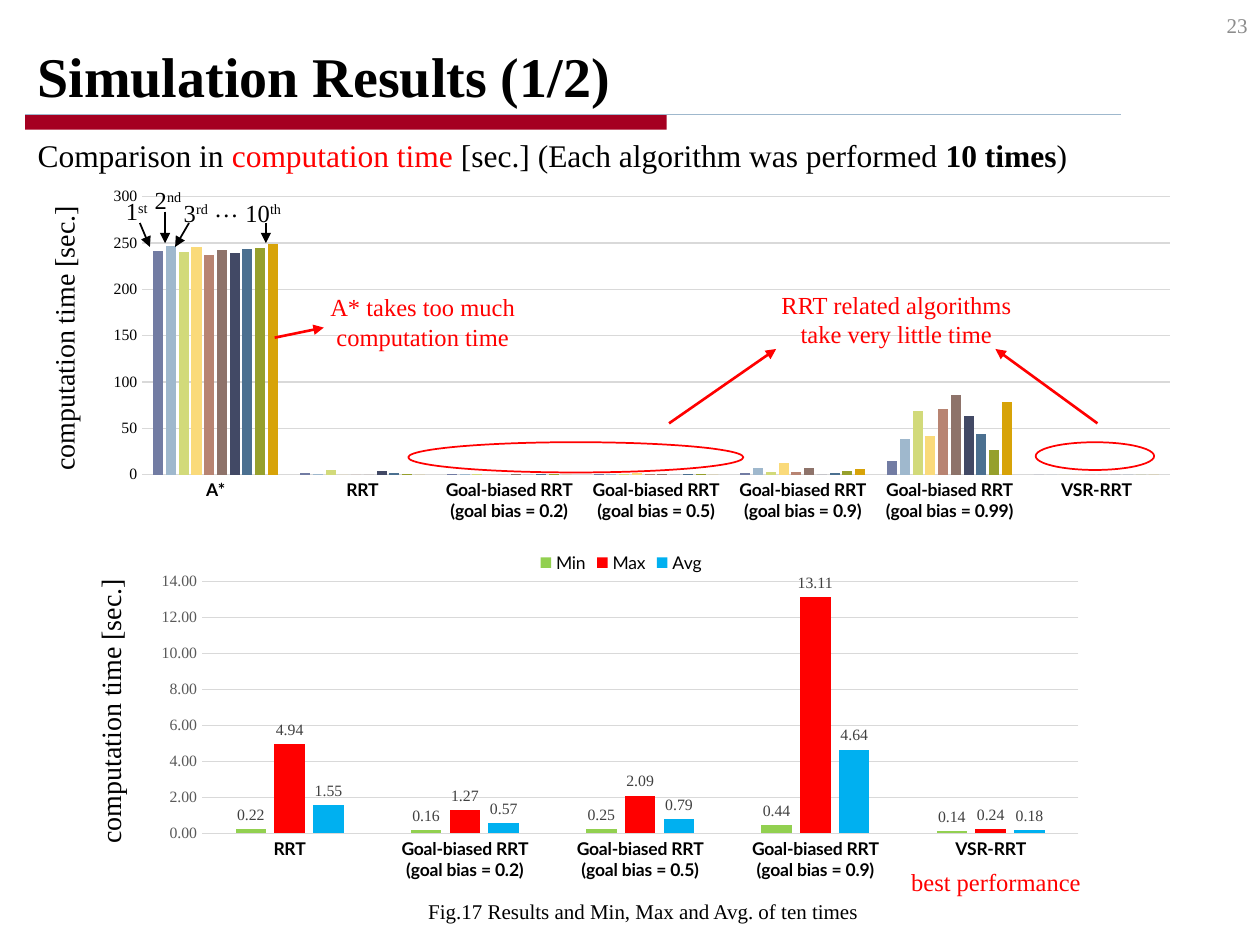
from lxml import etree
from pptx import Presentation
from pptx.chart.data import CategoryChartData
from pptx.dml.color import RGBColor
from pptx.enum import chart as charts, shapes, text
from pptx.oxml import parse_xml
from pptx.oxml.ns import nsdecls, qn
from pptx.util import Emu, Pt

SCALE = 9144
SERIF, SANS = "Times New Roman", "Lato"
COLORS = {
    "black": "000000", "red": "FF0000", "bar": "A50021", "rule": "9FB8CD",
    "grid": "D9D9D9", "number": "8C8C8C", "tick": "595959", "label": "404040",
    "min": "92D050", "max": "FF0000", "avg": "00B0F0",
}
ALIGN = {"left": text.PP_ALIGN.LEFT, "center": text.PP_ALIGN.CENTER, "right": text.PP_ALIGN.RIGHT}
ANCHOR = {"top": text.MSO_ANCHOR.TOP, "middle": text.MSO_ANCHOR.MIDDLE, "bottom": text.MSO_ANCHOR.BOTTOM}
RUNS = [
    ("727CA3", (241, 2, 1, 1, 2, 15, 0)),
    ("9FB8CD", (247, 1, 1, 1, 7, 38, 0)),
    ("D2DA7A", (240, 5, 1, 1, 3, 69, 0)),
    ("FADA7A", (246, 0, 0, 2, 13, 42, 0)),
    ("B88472", (237, 0, 0, 1, 3, 71, 0)),
    ("8E736A", (242, 0, 1, 1, 7, 86, 0)),
    ("424965", (239, 4, 0, 0, 0, 63, 0)),
    ("4B7090", (243, 2, 1, 1, 2, 44, 0)),
    ("96A02C", (244, 1, 1, 1, 4, 27, 0)),
    ("D7A308", (249, 0, 0, 0, 6, 78, 0)),
]
SUMMARY = [
    ("Min", COLORS["min"], (0.22, 0.16, 0.25, 0.44, 0.14)),
    ("Max", COLORS["max"], (4.94, 1.27, 2.09, 13.11, 0.24)),
    ("Avg", COLORS["avg"], (1.55, 0.57, 0.79, 4.64, 0.18)),
]


def px(value):
    return Emu(value * SCALE)


def inside(box, left, top, *size):
    return (box[0] + left, box[1] + top, *size)


def style(font, size, color="black", bold=False, face=SERIF):
    font.size, font.bold, font.name = Pt(size), bold, face
    font.color.rgb = RGBColor.from_string(COLORS[color])


def stroke(line, color, width):
    line.color.rgb = RGBColor.from_string(COLORS[color])
    line.width = Pt(width)


def write(page, box, spans, size=14, color="black", bold=False, align="left",
          anchor="top", side=10, rotation=0):
    shape = page.shapes.add_textbox(*map(px, box))
    shape.rotation = rotation
    frame = shape.text_frame
    frame.word_wrap = True
    frame.vertical_anchor = ANCHOR[anchor]
    frame.margin_left = px(side)
    frame.margin_right = px(0 if align == "left" else side)
    para = frame.paragraphs[0]
    para.alignment = ALIGN[align]
    for words, extra in [(spans, {})] if isinstance(spans, str) else spans:
        span = para.add_run()
        span.text = words
        style(span.font, size, extra.get("color", color), extra.get("bold", bold))
        if "raised" in extra:
            span.font._element.set("baseline", "30000")


def draw_line(page, start, end, color, width, arrow=True):
    line = page.shapes.add_connector(shapes.MSO_CONNECTOR.STRAIGHT, *map(px, start + end))
    stroke(line.line, color, width)
    if arrow:
        etree.SubElement(line.line._get_or_add_ln(), qn("a:tailEnd"), type="triangle")
    etree.SubElement(line._element.spPr, qn("a:effectLst"))


def add_shape(page, kind, box):
    shape = page.shapes.add_shape(kind, *map(px, box))
    shape.shadow.inherit = False
    return shape


def add_columns(page, box, categories, series, layout, top, step, tick_format, tick_color):
    data = CategoryChartData()
    data.categories = categories
    for name, _, values in series:
        data.add_series(name, values)
    chart = page.shapes.add_chart(
        charts.XL_CHART_TYPE.COLUMN_CLUSTERED, *map(px, box), data).chart
    chart.has_title = chart.has_legend = False
    style(chart.font, 10)
    plot = chart.plots[0]
    plot.gap_width, plot.overlap, plot.vary_by_categories = 219, -27, False
    for item, (_, color, _) in zip(plot.series, series):
        item.format.fill.solid()
        item.format.fill.fore_color.rgb = RGBColor.from_string(color)
    for axis in (chart.category_axis, chart.value_axis):
        axis.major_tick_mark = axis.minor_tick_mark = charts.XL_TICK_MARK.NONE
    style(chart.category_axis.tick_labels.font, 10, bold=True, face=SANS)
    stroke(chart.category_axis.format.line, "grid", 0.75)
    values = chart.value_axis
    values.minimum_scale, values.maximum_scale, values.major_unit = 0, top, step
    values.format.line.fill.background()
    stroke(values.major_gridlines.format.line, "grid", 0.75)
    style(values.tick_labels.font, 9, tick_color)
    values.tick_labels.number_format = tick_format
    values.tick_labels.number_format_is_linked = False
    area = chart._chartSpace.chart.plotArea
    for old in area.findall(qn("c:layout")):
        area.remove(old)
    modes = '<c:layoutTarget val="inner"/><c:xMode val="edge"/><c:yMode val="edge"/>'
    places = "".join(f'<c:{key} val="{value}"/>' for key, value in zip("xywh", layout))
    area.insert(0, parse_xml(
        f'<c:layout {nsdecls("c")}><c:manualLayout>{modes}{places}</c:manualLayout></c:layout>'))
    return chart


def biased(*levels):
    return [f"Goal-biased RRT\n(goal bias = {level})" for level in levels]


def axis_name(page, box):
    write(page, box, "computation time [sec.]", size=16, align="center", side=0, rotation=270)


def header(page, box):
    bar = add_shape(page, shapes.MSO_SHAPE.RECTANGLE, inside(box, 0, 91, 509, 12))
    bar.fill.solid()
    bar.fill.fore_color.rgb = RGBColor.from_string(COLORS["bar"])
    bar.line.fill.background()
    draw_line(page, inside(box, 0, 91), inside(box, 870, 91), "rule", 0.75, arrow=False)
    write(page, inside(box, 0, 0, 980, 91), "Simulation Results (1/2)",
          size=32, bold=True, anchor="bottom")
    write(page, inside(box, 755, 0, 225, 40), "23",
          size=12, color="number", align="right", anchor="middle")
    write(page, inside(box, 0, 103, 980, 40), [
        ("Comparison in ", {}), ("computation time ", {"color": "red"}),
        ("[sec.] (Each algorithm was performed ", {}),
        ("10 times", {"bold": True}), (")", {})], size=18)


def summary_chart(page, box):
    chart = add_columns(page, box, ["RRT", *biased(0.2, 0.5, 0.9), "VSR-RRT"], SUMMARY,
                        (0.06, 0.12, 0.92, 0.7), 14, 2, "0.00", "tick")
    chart.has_legend = True
    chart.legend.position = charts.XL_LEGEND_POSITION.TOP
    chart.legend.include_in_layout = False
    style(chart.legend.font, 10, face=SANS)
    plot = chart.plots[0]
    for item in plot.series:
        labels = item.data_labels
        labels.show_value = True
        labels.number_format, labels.number_format_is_linked = "0.00", False
        labels.position = charts.XL_LABEL_POSITION.OUTSIDE_END
        style(labels.font, 9, "label")
    axis_name(page, inside(box, -143, 119, 231, 37))
    write(page, inside(box, 153, 281, 485, 30),
          "Fig.17 Results and Min, Max and Avg. of ten times", size=12, align="center")
    write(page, inside(box, 595, 256, 161, 34), "best performance", color="red", align="center")


def runs_chart(page, box):
    series = [(f"Series {n}", color, values) for n, (color, values) in enumerate(RUNS, 1)]
    add_columns(page, box, ["A*", "RRT", *biased(0.2, 0.5, 0.9, 0.99), "VSR-RRT"], series,
                (0.05, 0.04, 0.93, 0.8), 300, 50, "General", "black")
    axis_name(page, inside(box, -134, 105, 231, 37))
    for number, suffix, left, top, width in (
            ("1", "st", 21, 6, 49), ("2", "nd", 44, -3, 47), ("3", "rd", 67, 7, 42),
            ("10", "th", 116, 7, 53)):
        write(page, inside(box, left, top, width, 34), [(number, {}), (suffix, {"raised": True})])
    write(page, inside(box, 91, 3, 42, 34), "…")
    for start, end in (((42, 32), (50, 51)), ((62, 23), (62, 48)),
                       ((81, 32), (70, 51)), ((142, 32), (142, 48))):
        draw_line(page, inside(box, *start), inside(box, *end), "black", 1)
    for start, end in (((149, 123), (188, 115)), ((462, 191), (547, 132)),
                       ((802, 191), (721, 132))):
        draw_line(page, inside(box, *start), inside(box, *end), "red", 1.5)
    for place in ((255, 206, 266, 24), (753, 206, 94, 22)):
        ring = add_shape(page, shapes.MSO_SHAPE.OVAL, inside(box, *place))
        ring.fill.background()
        stroke(ring.line, "red", 1)
    for words, place in (
            ("A* takes too much computation time", (182, 82, 169, 57)),
            ("RRT related algorithms take very little time", (532, 80, 221, 57))):
        write(page, inside(box, *place), words, color="red", align="center")


def main():
    deck = Presentation()
    deck.slide_width, deck.slide_height = px(1000), px(750)
    page = deck.slides.add_slide(deck.slide_layouts[6])
    header(page, (20, 0, 980, 143))
    summary_chart(page, (115, 427, 756, 286))
    runs_chart(page, (69, 145, 877, 276))
    deck.save("out.pptx")


if __name__ == "__main__":
    main()
